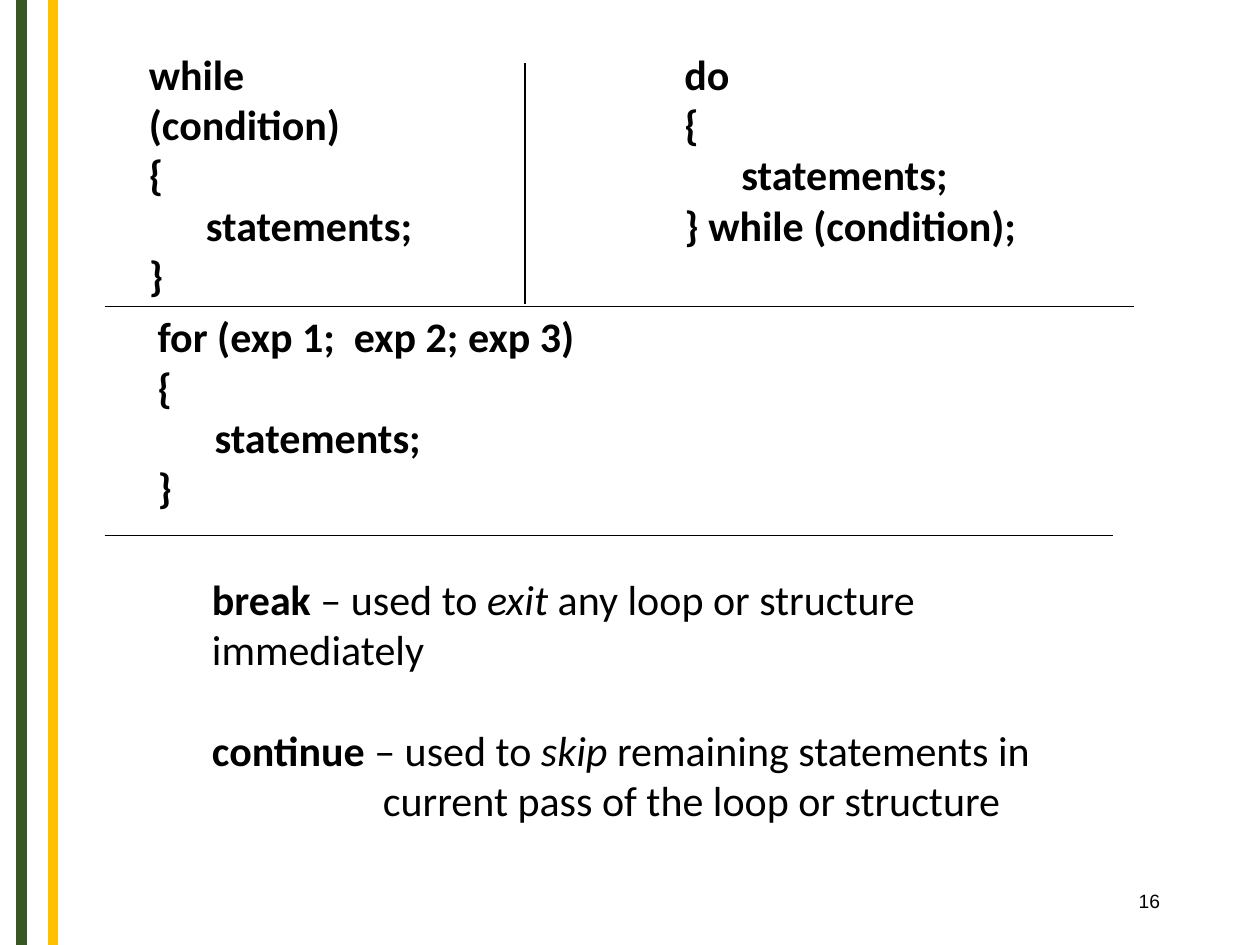
from lxml.etree import SubElement
from pptx import Presentation
from pptx.dml.color import RGBColor
from pptx.enum.shapes import MSO_CONNECTOR
from pptx.enum.text import MSO_ANCHOR, PP_ALIGN
from pptx.oxml.ns import qn
from pptx.util import Pt

W, H = 720, 540
RULE_X, RULE_Y, SPLIT_X = 60, 175, 300
BODY = {"size": Pt(24), "name": "Calibri"}
CODE = {**BODY, "bold": True}
NUMBER = {"size": Pt(11), "name": "Arial"}

LINES = [
    ((12.25, 0), (12.25, H), "385723", 6),
    ((30.25, 0), (30.25, H), "FFC000", 6),
    ((RULE_X, RULE_Y), (648, RULE_Y), "000000", 0.75),
    ((SPLIT_X, 36), (SPLIT_X, RULE_Y - 1), "000000", 0.75),
    ((RULE_X, 306), (636, 306), "000000", 0.75),
]
LOOP_BODY = ["{", "      statements;"]
LOOPS = [
    ((78, 24, 166, 196), ["while (condition)", *LOOP_BODY, "}"]),
    ((384, 24, 222, 153), ["do", *LOOP_BODY, "} while (condition);"]),
    ((83, 174, 274, 153), ["for (exp 1;  exp 2; exp 3)", *LOOP_BODY, "}"]),
]
JUMP_BOX = (114, 324, 497, 181)
JUMPS = [
    [("break", "bold"), (" – used to ", ""), ("exit", "italic"),
     (" any loop or structure immediately", "")],
    [("continue", "bold"), (" – used to ", ""), ("skip", "italic"),
     (" remaining statements in", "")],
    [("current pass of the loop or structure", "")],
]
JUMP_GAP, JUMP_INDENT = 28.8, 97.75
NUMBER_BOX = (508, 500, 162, 29)


def color(value):
    return RGBColor.from_string(value)


def add_line(s, start, end, line_color, width):
    line = s.shapes.add_connector(MSO_CONNECTOR.STRAIGHT, *map(Pt, start + end))
    line.line.color.rgb = color(line_color)
    line.line.width = Pt(width)
    SubElement(line._element.spPr, qn("a:effectLst"))


def add_text(s, box, paragraphs, font):
    """Add a wrapped text box of paragraphs, each a list of (text, style) runs."""
    tf = s.shapes.add_textbox(*map(Pt, box)).text_frame
    tf.word_wrap = True
    for i, runs in enumerate(paragraphs):
        p = tf.add_paragraph() if i else tf.paragraphs[0]
        for text, style in runs:
            r = p.add_run()
            r.text = text
            r.font.color.rgb = color("000000")
            for name, value in {**font, **({style: True} if style else {})}.items():
                setattr(r.font, name, value)
    return tf


def main():
    prs = Presentation()
    prs.slide_width, prs.slide_height = Pt(W), Pt(H)
    s = prs.slides.add_slide(prs.slide_layouts[6])
    for line in LINES:
        add_line(s, *line)
    for box, code in LOOPS:
        add_text(s, box, [[(text, "")] for text in code], CODE)

    jumps = add_text(s, JUMP_BOX, JUMPS, BODY).paragraphs
    jumps[1].space_before = Pt(JUMP_GAP)
    jumps[2]._p.get_or_add_pPr().set("marL", str(Pt(JUMP_INDENT)))

    tf = add_text(s, NUMBER_BOX, [[("16", "")]], NUMBER)
    tf.vertical_anchor = MSO_ANCHOR.MIDDLE
    tf.paragraphs[0].alignment = PP_ALIGN.RIGHT
    prs.save("out.pptx")


if __name__ == "__main__":
    main()
